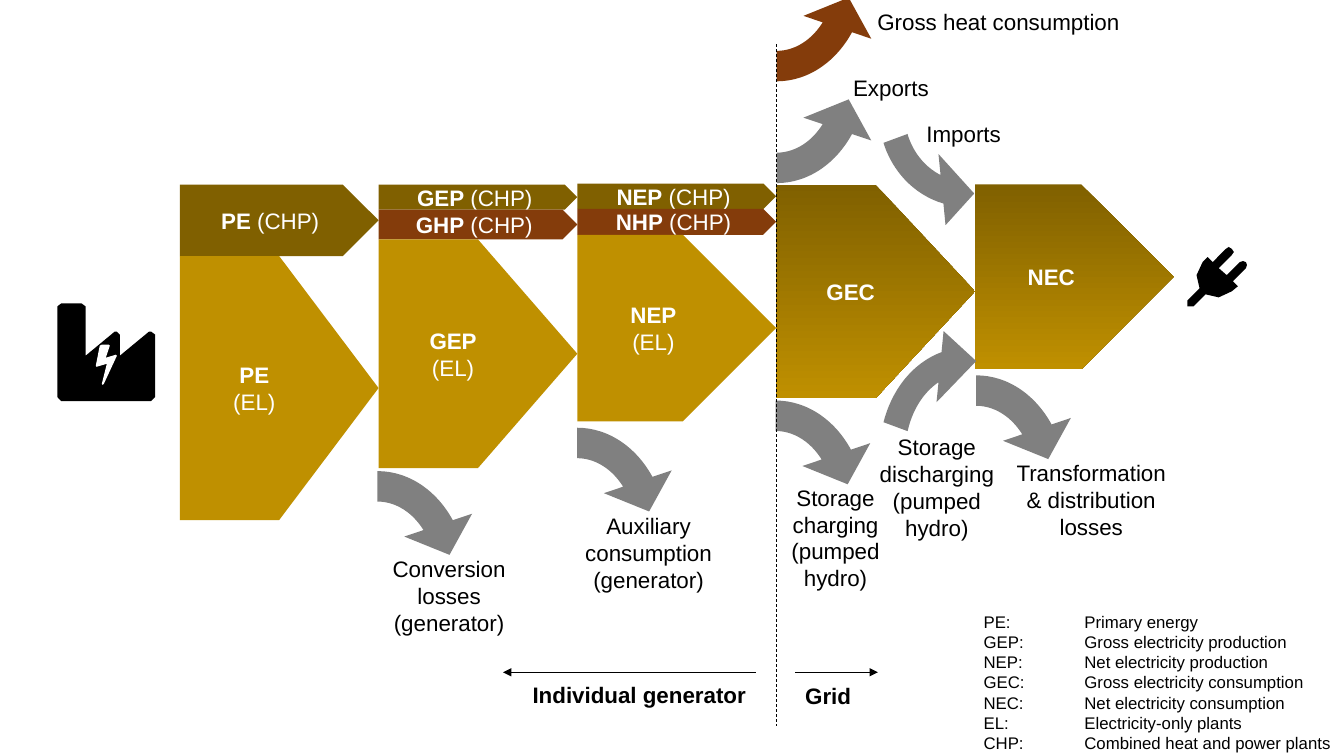
from dataclasses import dataclass

from lxml import etree
from pptx import Presentation
from pptx import util as u
from pptx.dml import color
from pptx.enum import dml, shapes, text
from pptx.oxml import ns

COLORS = {"electricity": "BF9000", "chp": "806000", "heat": "843C0B",
          "loss": "808080", "ink": "000000", "paper": "FFFFFF"}
FONT = "Arial"
FIRST_COLUMN, COLUMN = 128.4, 142  # left edge and pitch of the flow columns
ALIGN = text.PP_ALIGN


@dataclass
class Block:
    name: str
    suffix: str
    fill: str
    height: float


@dataclass
class Stack:
    top: float
    blocks: list[Block]


@dataclass
class Bend:
    left: float
    top: float
    fill: str = "loss"
    width: float = 183.6
    rotation: int = 90
    flipped: bool = False
    thickness: float = 0.138
    head_angle: float = 137.02  # angles in units of 0.6 degree... 100000ths
    start_angle: float = 108


@dataclass
class Label:
    words: str
    left: float
    top: float
    width: float
    height: float
    align: ALIGN = ALIGN.CENTER
    bold: bool = False
    size: int = 16


@dataclass
class Line:
    start: tuple[float, float]
    end: tuple[float, float]
    dashed: bool = False


@dataclass
class Outline:
    left: float
    top: float
    fill: str
    points: list[tuple[int, int]]  # hundredths of an inch


def rgb(name: str) -> color.RGBColor:
    return color.RGBColor.from_string(COLORS[name])


def paint(sp, fill: str) -> None:
    sp.shadow.inherit = False
    sp.line.fill.background()
    if fill == "blend":
        sp.fill.gradient()
        sp.fill.gradient_angle = 270
        for stop, name in zip(sp.fill.gradient_stops, ("chp", "electricity")):
            stop.color.rgb = rgb(name)
    else:
        sp.fill.solid()
        sp.fill.fore_color.rgb = rgb(fill)


def set_font(p, size: int, fill: str) -> None:
    p.font.name, p.font.size = FONT, u.Pt(size)
    p.font.color.rgb = rgb(fill)


def draw_block(s, block: Block, left: float, top: float) -> None:
    sp = s.shapes.add_shape(shapes.MSO_SHAPE.PENTAGON, u.Pt(left), u.Pt(top),
                            u.Pt(COLUMN), u.Pt(block.height))
    paint(sp, block.fill)
    tf = sp.text_frame
    tf.vertical_anchor = text.MSO_ANCHOR.MIDDLE
    p = tf.paragraphs[0]
    p.alignment = ALIGN.CENTER
    set_font(p, 16, "paper")
    r = p.add_run()
    r.text, r.font.bold = block.name, True
    if block.suffix == "(EL)":
        p.add_line_break()
        p.add_run().text = block.suffix
    elif block.suffix:
        p.add_run().text = f" {block.suffix}"


def draw_bend(s, bend: Bend) -> None:
    sp = s.shapes.add_shape(shapes.MSO_SHAPE.CIRCULAR_ARROW, u.Pt(bend.left),
                            u.Pt(bend.top), u.Pt(bend.width), u.Pt(157.7))
    values = (bend.thickness, 13.81, bend.head_angle, bend.start_angle, 0.162)
    for i, value in enumerate(values):
        sp.adjustments[i] = value
    sp.rotation = bend.rotation
    if bend.flipped:
        sp.element.spPr.find(ns.qn("a:xfrm")).set("flipH", "1")
    paint(sp, bend.fill)


def draw_label(s, label: Label) -> None:
    sp = s.shapes.add_textbox(u.Pt(label.left), u.Pt(label.top),
                              u.Pt(label.width), u.Pt(label.height))
    tf = sp.text_frame
    tf.word_wrap = True
    tf.auto_size = text.MSO_AUTO_SIZE.SHAPE_TO_FIT_TEXT
    tf.text = label.words
    for p in tf.paragraphs:
        p.alignment = label.align
        if "\t" in p.text:
            tabs = etree.SubElement(p._p.get_or_add_pPr(), ns.qn("a:tabLst"))
            etree.SubElement(tabs, ns.qn("a:tab"), pos=str(u.Pt(72)), algn="l")
        set_font(p, label.size, "ink")
        p.font.bold = label.bold


def draw_line(s, line: Line) -> None:
    sp = s.shapes.add_connector(shapes.MSO_CONNECTOR.STRAIGHT,
                                *map(u.Pt, line.start + line.end))
    sp.line.width = u.Pt(0.5)
    sp.line.color.rgb = rgb("ink")
    if line.dashed:
        sp.line.dash_style = dml.MSO_LINE.DASH
    else:
        ln = sp.line._get_or_add_ln()
        etree.SubElement(ln, ns.qn("a:tailEnd"), type="triangle")
    etree.SubElement(sp.element.spPr, ns.qn("a:effectLst"))


def draw_outline(s, outline: Outline) -> None:
    start, *rest = outline.points
    builder = s.shapes.build_freeform(*start, scale=u.Pt(0.72))
    builder.add_line_segments(rest, close=True)
    paint(builder.convert_to_shape(u.Pt(outline.left), u.Pt(outline.top)), outline.fill)


STACKS = [
    Stack(131.8, [Block("PE", "(CHP)", "chp", 51.1),
                  Block("PE", "(EL)", "electricity", 188.6)]),
    Stack(131.8, [Block("GEP", "(CHP)", "chp", 18),
                  Block("GHP", "(CHP)", "heat", 21.2),
                  Block("GEP", "(EL)", "electricity", 163.4)]),
    Stack(131.2, [Block("NEP", "(CHP)", "chp", 18),
                  Block("NHP", "(CHP)", "heat", 18.5),
                  Block("NEP", "(EL)", "electricity", 133.2)]),
    Stack(131.8, [Block("GEC", "", "blend", 152.6)]),
    Stack(131.8, [Block("NEC", "", "blend", 131.8)]),
]
INFLOW = dict(rotation=270, thickness=0.116, head_angle=205.59, start_angle=174.17)
BENDS = [
    Bend(177.8, 334.8), Bend(320.4, 303.8), Bend(462.2, 284.4), Bend(605.5, 266.4),
    Bend(463, -25.2, flipped=True), Bend(463, -97.9, "heat", flipped=True),
    Bend(599, 244.8, **INFLOW), Bend(606.2, 1.4, width=167.8, flipped=True, **INFLOW),
]
LEGEND = """PE: \tPrimary energy
GEP:\tGross electricity production
NEP:\tNet electricity production
GEC:\tGross electricity consumption
NEC:\tNet electricity consumption
EL:\tElectricity-only plants
CHP:\tCombined heat and power plants"""
LABELS = [
    Label("Conversion losses (generator)", 269.3, 393.1, 103, 65.5),
    Label("Auxiliary consumption\v(generator)", 408.2, 362.2, 110.2, 65.5),
    Label("Exports", 595.4, 49.7, 82.1, 26.6),
    Label("Imports", 647.3, 82.1, 82.1, 26.6),
    Label("Storage charging (pumped hydro)", 555.8, 342, 82.1, 85),
    Label("Storage discharging (pumped hydro)", 619.9, 306, 98.6, 85),
    Label("Transformation & distribution losses", 718.6, 324.7, 121.7, 65.5),
    Label("Gross heat consumption", 611.3, 2.2, 203.8, 26.6),
    Label("Grid", 568.1, 483.8, 82.1, 26.6, ALIGN.LEFT, True),
    Label("Individual generator", 366.5, 483.1, 173.5, 26.6, ALIGN.RIGHT, True),
    Label(LEGEND, 695.5, 433.4, 264.2, 108.7, ALIGN.LEFT, size=12),
]
LINES = [Line((554.4, 31.7), (554.4, 518.4), dashed=True),
         Line((568.1, 480.2), (627.1, 480.2)), Line((540, 480.2), (359.3, 480.2))]
PLUG = [(58, 21), (45, 34), (50, 39), (44, 44), (31, 50), (18, 47), (6, 59), (0, 59),
        (0, 53), (12, 41), (9, 28), (15, 15), (20, 10), (25, 15), (38, 2), (41, 0),
        (44, 2), (46, 5), (44, 8), (31, 21), (39, 28), (52, 15), (55, 14), (58, 15),
        (59, 18)]
FACTORY = [(28, 3), (28, 52), (57, 28), (59, 28), (62, 31), (62, 52), (91, 28), (93, 28),
           (97, 31), (97, 93), (93, 97), (4, 97), (0, 93), (0, 3), (4, 0), (24, 0)]
BOLT = [(21, 11), (8, 39), (7, 40), (6, 39), (11, 19), (1, 22), (0, 21), (4, 1), (6, 0),
        (13, 0), (14, 1), (10, 13), (20, 10)]
ICONS = [Outline(848.2, 176.4, "ink", PLUG), Outline(41, 216.7, "ink", FACTORY),
         Outline(68.4, 246.2, "paper", BOLT)]

prs = Presentation()
prs.slide_width, prs.slide_height = u.Pt(960), u.Pt(540)
s = prs.slides.add_slide(prs.slide_layouts[6])

# Energy flow, one stack of blocks per column
for column, stack in enumerate(STACKS):
    top = stack.top
    for block in stack.blocks:
        draw_block(s, block, FIRST_COLUMN + column * COLUMN, top)
        top += block.height

# Inflows and outflows, then boundary, labels and icons
for draw, items in ((draw_bend, BENDS), (draw_line, LINES),
                    (draw_label, LABELS), (draw_outline, ICONS)):
    for item in items:
        draw(s, item)

prs.save("out.pptx")
